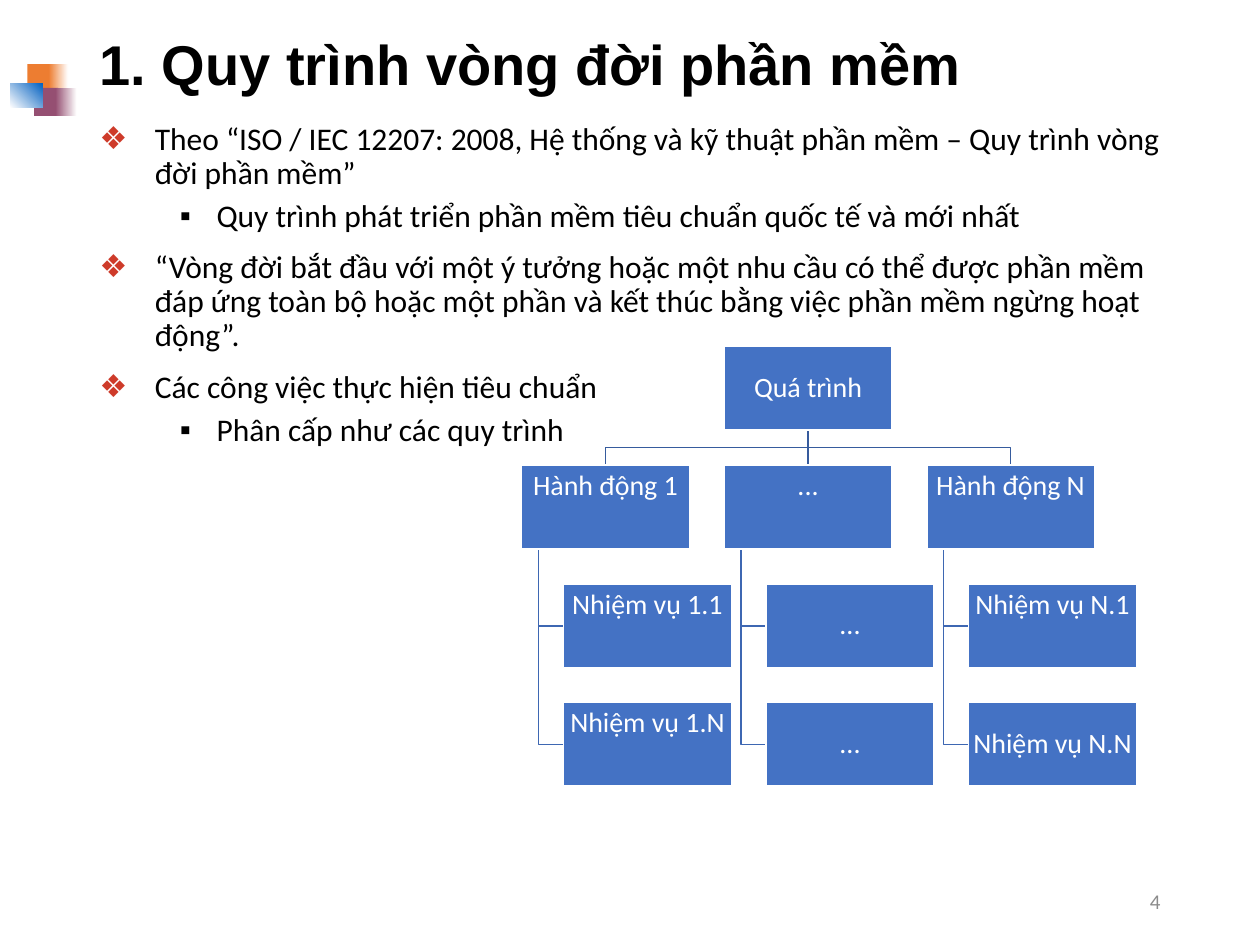
import pptx
import pptx.dml.color
import pptx.enum.shapes
import pptx.enum.text
import pptx.oxml.ns
import pptx.util
from lxml import etree

ALIGN = pptx.enum.text.PP_ALIGN
ANCHOR = pptx.enum.text.MSO_ANCHOR
RECT = pptx.enum.shapes.MSO_SHAPE.RECTANGLE
STRAIGHT = pptx.enum.shapes.MSO_CONNECTOR.STRAIGHT
qn = pptx.oxml.ns.qn
inch = pptx.util.Inches

WIDTH, HEIGHT = 10, 7.5
MARGIN, CONTENT = 0.69, 8.62  # left edge and width of the text column
NODE_BLUE, UPPER_LINE, LOWER_LINE = "4472C4", "365B9D", "3E67B2"
ORANGE, PLUM, BLUE, WHITE = "ED7D31", "954F72", "0563C1", "FFFFFF"

POINTS = [
    (0, "Theo “ISO / IEC 12207: 2008, Hệ thống và kỹ thuật phần mềm – Quy trình vòng đời phần mềm”"),
    (1, "Quy trình phát triển phần mềm tiêu chuẩn quốc tế và mới nhất"),
    (0, "“Vòng đời bắt đầu với một ý tưởng hoặc một nhu cầu có thể được phần mềm đáp ứng "
        "toàn bộ hoặc một phần và kết thúc bằng việc phần mềm ngừng hoạt động”."),
    (0, "Các công việc thực hiện tiêu chuẩn"),
    (1, "Phân cấp như các quy trình"),
]
# Per level: left margin, hanging indent, space before, bullet, bullet colour
LEVELS = [(0.44, -0.44, 10, "❖", "CE3B2A"), (0.93, -0.29, 5, "▪", "000000")]

# Each action with its tasks; every label carries its vertical anchor
ACTIONS = [
    (("Hành động 1", ANCHOR.TOP),
     [("Nhiệm vụ 1.1", ANCHOR.TOP), ("Nhiệm vụ 1.N", ANCHOR.TOP)]),
    (("...", ANCHOR.TOP), [("...", ANCHOR.MIDDLE), ("...", ANCHOR.MIDDLE)]),
    (("Hành động N", ANCHOR.TOP),
     [("Nhiệm vụ N.1", ANCHOR.TOP), ("Nhiệm vụ N.N", ANCHOR.MIDDLE)]),
]


def color(value):
    return pptx.dml.color.RGBColor.from_string(value)


def write(paragraph, text, size=18, font="Calibri", ink="000000", bold=False,
          align=ALIGN.LEFT, spacing=0.9):
    run = paragraph.add_run()
    run.text = text
    run.font.size = pptx.util.Pt(size)
    run.font.name = font
    run.font.bold = bold
    run.font.color.rgb = color(ink)
    paragraph.alignment = align
    paragraph.line_spacing = spacing


def set_frame(shape, anchor, insets=(0.1, 0.05, 0.1, 0.05)):
    frame = shape.text_frame
    frame.word_wrap = True
    frame.auto_size = pptx.enum.text.MSO_AUTO_SIZE.NONE
    frame.vertical_anchor = anchor
    frame.margin_left, frame.margin_top, frame.margin_right, frame.margin_bottom = map(inch, insets)
    return frame


def add_rect(slide, box, fill, fade=None, angle=0):
    rect = slide.shapes.add_shape(RECT, *map(inch, box))
    rect.shadow.inherit = False
    rect.line.fill.background()
    if fade:
        rect.fill.gradient()
        rect.fill.gradient_angle = angle
        for stop, shade in zip(rect.fill.gradient_stops, (fill, fade)):
            stop.color.rgb = color(shade)
    else:
        rect.fill.solid()
        rect.fill.fore_color.rgb = color(fill)
    return rect


def add_ornament(slide, box):
    left, top, width, height = box
    squares = [  # shares of the box, then fill, fade and angle
        (0.26, 0, 0.38, 0.54, ORANGE, None, 0),
        (0.58, 0, 0.29, 0.54, ORANGE, WHITE, 0),
        (0.36, 0.46, 0.36, 0.54, PLUM, None, 0),
        (0.68, 0.46, 0.32, 0.54, PLUM, WHITE, 0),
        (0, 0.37, 0.49, 0.46, WHITE, BLUE, 45),
    ]
    for x, y, w, h, fill, fade, angle in squares:
        add_rect(slide, (left + x * width, top + y * height, w * width, h * height),
                 fill, fade, angle)


def add_title(slide, box, text):
    title = slide.shapes.title
    title.left, title.top, title.width, title.height = map(inch, box)
    frame = set_frame(title, ANCHOR.MIDDLE)
    write(frame.paragraphs[0], text, size=32, font="Arial", bold=True)


def add_points(slide, box, points):
    frame = set_frame(slide.shapes.add_textbox(*map(inch, box)), ANCHOR.TOP)
    for number, (level, text) in enumerate(points):
        paragraph = frame.add_paragraph() if number else frame.paragraphs[0]
        margin, indent, before, bullet, bullet_color = LEVELS[level]
        props = paragraph._p.get_or_add_pPr()
        props.set("marL", str(inch(margin)))
        props.set("indent", str(inch(indent)))
        tint = etree.SubElement(props, qn("a:buClr"))
        etree.SubElement(tint, qn("a:srgbClr"), val=bullet_color)
        etree.SubElement(props, qn("a:buFont"), typeface="Arial")
        etree.SubElement(props, qn("a:buChar"), char=bullet)
        paragraph.level = level
        if number:
            paragraph.space_before = pptx.util.Pt(before)
        write(paragraph, text)


def add_link(slide, points, ink):
    """Draw a straight connector for two points, an open bent line for more."""
    corners = [(inch(x), inch(y)) for x, y in points]
    if len(corners) == 2:
        link = slide.shapes.add_connector(STRAIGHT, *corners[0], *corners[1])
        etree.SubElement(link._element.spPr, qn("a:effectLst"))
    else:
        builder = slide.shapes.build_freeform(*corners[0])
        builder.add_line_segments(corners[1:], close=False)
        link = builder.convert_to_shape()
        link.fill.background()
        link.shadow.inherit = False
    link.line.color.rgb = color(ink)
    link.line.width = pptx.util.Pt(1)


def add_node(slide, box, label):
    text, anchor = label
    node = add_rect(slide, box, NODE_BLUE)
    node.line.color.rgb = color(WHITE)
    node.line.width = pptx.util.Pt(1)
    top_inset = 0.05 if anchor == ANCHOR.TOP else 0.01
    frame = set_frame(node, anchor, (0.01, top_inset, 0.01, 0.01))
    write(frame.paragraphs[0], text, size=16, ink=WHITE, align=ALIGN.CENTER)


def add_process_tree(slide, box, root, actions):
    left, top, width, height = box
    node_w, node_h = 0.273 * width, 0.19 * height
    indent, spine = node_w / 4, node_w / 10
    column = (width - node_w - indent) / (len(actions) - 1)
    row = (height - node_h) / 3
    root_left = left + column * (len(actions) - 1) / 2
    root_x, root_bottom = root_left + node_w / 2, top + node_h
    action_top = top + row
    bus = (root_bottom + action_top) / 2
    nodes = [(root_left, top, root)]

    # Links first, so that the nodes lie above them
    for i, (action, tasks) in enumerate(actions):
        x = left + i * column
        middle = x + node_w / 2
        nodes.append((x, action_top, action))
        bend = [] if abs(middle - root_x) < 0.01 else [(root_x, bus), (middle, bus)]
        add_link(slide, [(root_x, root_bottom), *bend, (middle, action_top)], UPPER_LINE)
        for j, task in enumerate(tasks, start=2):
            y = top + j * row
            nodes.append((x + indent, y, task))
            add_link(slide, [(x + spine, action_top + node_h), (x + spine, y + node_h / 2),
                             (x + indent, y + node_h / 2)], LOWER_LINE)
    for x, y, label in nodes:
        add_node(slide, (x, y, node_w, node_h), label)


def add_page_number(slide, box, number):
    frame = set_frame(slide.shapes.add_textbox(*map(inch, box)), ANCHOR.MIDDLE)
    write(frame.paragraphs[0], number, size=12, ink="8C8C8C", align=ALIGN.RIGHT, spacing=1.0)


def main():
    deck = pptx.Presentation()
    deck.slide_width, deck.slide_height = inch(WIDTH), inch(HEIGHT)
    slide = deck.slides.add_slide(deck.slide_layouts[5])
    add_ornament(slide, (0.08, 0.51, 0.53, 0.41))
    add_title(slide, (MARGIN, 0.13, CONTENT, 0.81), "1. Quy trình vòng đời phần mềm")
    add_points(slide, (MARGIN, 0.93, CONTENT, 5.66), POINTS)
    add_page_number(slide, (MARGIN + CONTENT - 2.25, 6.95, 2.25, 0.4), "4")
    add_process_tree(slide, (4.14, 2.75, 4.88, 3.49), ("Quá trình", ANCHOR.MIDDLE), ACTIONS)
    deck.save("out.pptx")


if __name__ == "__main__":
    main()
